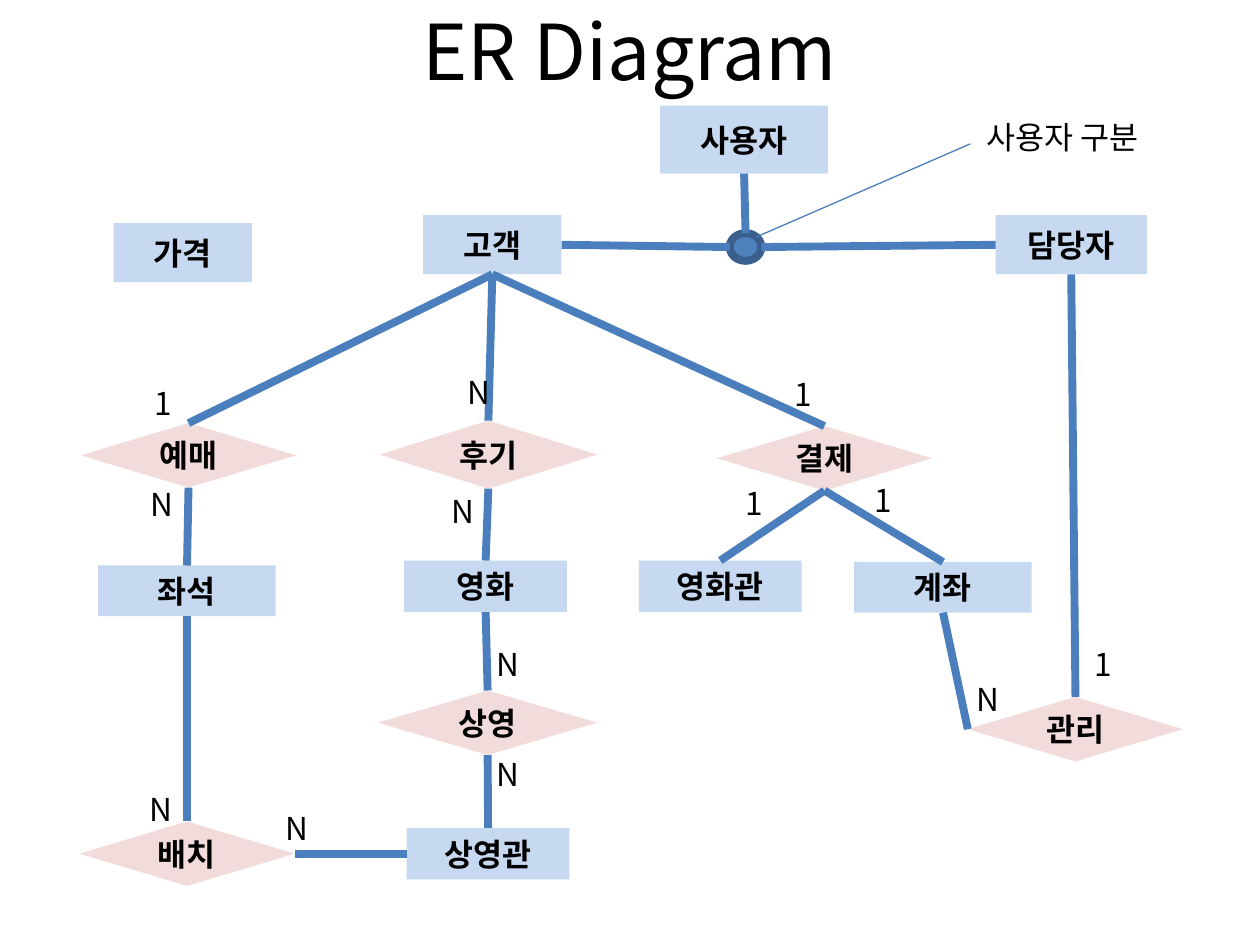
from lxml.etree import SubElement
from pptx import Presentation
from pptx.dml.color import RGBColor
from pptx.enum.shapes import MSO_CONNECTOR, MSO_SHAPE
from pptx.enum.text import MSO_ANCHOR, MSO_AUTO_SIZE, PP_ALIGN
from pptx.oxml.ns import qn
from pptx.util import Cm, Pt

FONT = "Noto Sans CJK KR"
BLUE, PINK, LINE = "C6D9F1", "F2DCDB", "4B7EBC"
SIDES = ("top", "left", "bottom", "right")  # order of connection sites

# Lengths in cm: left, top, width, height
ENTITIES = {
    "사용자": (13.31, 2.13, 3.38, 1.37),
    "고객": (8.53, 4.34, 2.79, 1.19),
    "담당자": (20.07, 4.34, 3.05, 1.19),
    "가격": (2.29, 4.5, 2.79, 1.19),
    "좌석": (1.98, 11.4, 3.58, 1.02),
    "영화": (8.15, 11.3, 3.28, 1.04),
    "영화관": (12.88, 11.3, 3.28, 1.04),
    "계좌": (17.22, 11.33, 3.58, 1.02),
    "상영관": (8.2, 16.69, 3.28, 1.04),
}
RELATIONS = {
    "예매": (1.63, 8.53, 4.34, 1.3),
    "후기": (7.65, 8.48, 4.39, 1.37),
    "결제": (14.45, 8.59, 4.34, 1.3),
    "상영": (7.62, 13.92, 4.42, 1.3),
    "관리": (19.51, 14.05, 4.34, 1.3),
    "배치": (1.6, 16.56, 4.34, 1.3),
}
LINKS = [
    ("사용자", "bottom", "dot", "top"),
    ("고객", "right", "dot", "left"),
    ("dot", "right", "담당자", "left"),
    ("예매", "top", "고객", "bottom"),
    ("후기", "top", "고객", "bottom"),
    ("결제", "top", "고객", "bottom"),
    ("좌석", "top", "예매", "bottom"),
    ("영화", "top", "후기", "bottom"),
    ("결제", "bottom", "영화관", "top"),
    ("결제", "bottom", "계좌", "top"),
    ("영화", "bottom", "상영", "top"),
    ("상영", "bottom", "상영관", "top"),
    ("좌석", "bottom", "배치", "top"),
    ("상영관", "left", "배치", "right"),
    ("담당자", "bottom", "관리", "top"),
    ("계좌", "bottom", "관리", "left"),
]
# Cardinality marks: left and top in cm
MARKS = {
    "1": [(2.87, 7.62), (15.77, 7.44), (14.78, 9.63), (17.37, 9.58),
          (21.82, 12.88)],
    "N": [(2.79, 9.65), (9.17, 7.39), (8.86, 9.8), (9.75, 12.88),
          (9.75, 15.09), (2.77, 15.8), (5.51, 16.18), (19.43, 13.59)],
}


def color(text):
    return RGBColor.from_string(text)


def write(frame, text, align, size=18, bold=False):
    frame.text = text
    para = frame.paragraphs[0]
    para.alignment = align
    font = para.runs[0].font
    for key, value in {"name": FONT, "size": Pt(size), "bold": bold}.items():
        setattr(font, key, value)
    font.color.rgb = color("000000")
    # Korean letters take the East Asian font
    SubElement(para.runs[0]._r.rPr, qn("a:ea"), typeface=FONT)


def head(slide, text):
    title = slide.shapes.title
    place = {"left": 1.27, "top": -0.58, "width": 22.86, "height": 3.18}
    for key, value in place.items():
        setattr(title, key, Cm(value))
    title.text_frame.vertical_anchor = MSO_ANCHOR.MIDDLE
    write(title.text_frame, text, PP_ALIGN.CENTER, 44)


def shape(slide, kind, box, fill):
    item = slide.shapes.add_shape(kind, *map(Cm, box))
    item.shadow.inherit = False
    item.fill.solid()
    item.fill.fore_color.rgb = color(fill)
    item.line.fill.background()
    return item


def node(slide, kind, name, box, fill):
    item = shape(slide, kind, box, fill)
    item.text_frame.vertical_anchor = MSO_ANCHOR.MIDDLE
    write(item.text_frame, name, PP_ALIGN.CENTER, bold=True)
    return item


def joint(slide):
    item = shape(slide, MSO_SHAPE.OVAL, (14.71, 4.7, 0.64, 0.56), "4F81BD")
    item.line.color.rgb = color("3A5F8C")
    item.line.width = Pt(4.5)
    return item


def line(slide, start, end, width=4.5):
    item = slide.shapes.add_connector(MSO_CONNECTOR.STRAIGHT, *start, *end)
    item.line.color.rgb = color(LINE)
    item.line.width = Pt(width)
    SubElement(item._element.spPr, qn("a:effectLst"))
    return item


def site(item, side):
    mid = item.left + item.width // 2
    center = item.top + item.height // 2
    return {
        "top": (mid, item.top),
        "left": (item.left, center),
        "bottom": (mid, item.top + item.height),
        "right": (item.left + item.width, center),
    }[side]


def link(slide, nodes, first, out, last, into):
    item = line(slide, site(nodes[first], out), site(nodes[last], into))
    # The oval numbers its sites differently, so only boxes are glued
    if first != "dot":
        item.begin_connect(nodes[first], SIDES.index(out))
    if last != "dot":
        item.end_connect(nodes[last], SIDES.index(into))


def label(slide, text, left, top, width, wrap=True):
    box = slide.shapes.add_textbox(Cm(left), Cm(top), Cm(width), Cm(1.02))
    box.text_frame.word_wrap = wrap
    box.text_frame.auto_size = MSO_AUTO_SIZE.SHAPE_TO_FIT_TEXT
    write(box.text_frame, text, PP_ALIGN.LEFT)


def main():
    deck = Presentation()
    deck.slide_width, deck.slide_height = Cm(25.4), Cm(19.05)
    slide = deck.slides.add_slide(deck.slide_layouts[5])
    head(slide, "ER Diagram")

    # Entities, relations and the user-type joint
    nodes = {"dot": joint(slide)}
    for kind, group, fill in ((MSO_SHAPE.RECTANGLE, ENTITIES, BLUE),
                              (MSO_SHAPE.DIAMOND, RELATIONS, PINK)):
        for name, box in group.items():
            nodes[name] = node(slide, kind, name, box, fill)
    for ends in LINKS:
        link(slide, nodes, *ends)

    # Note on the joint
    line(slide, (Cm(15.24), Cm(4.78)), (Cm(19.56), Cm(2.9)), 0.75)
    label(slide, "사용자 구분", 19.63, 2.26, 3.94, wrap=False)

    # Cardinality marks
    for text, spots in MARKS.items():
        for left, top in spots:
            label(slide, text, left, top, 0.66)

    deck.save("out.pptx")


if __name__ == "__main__":
    main()
